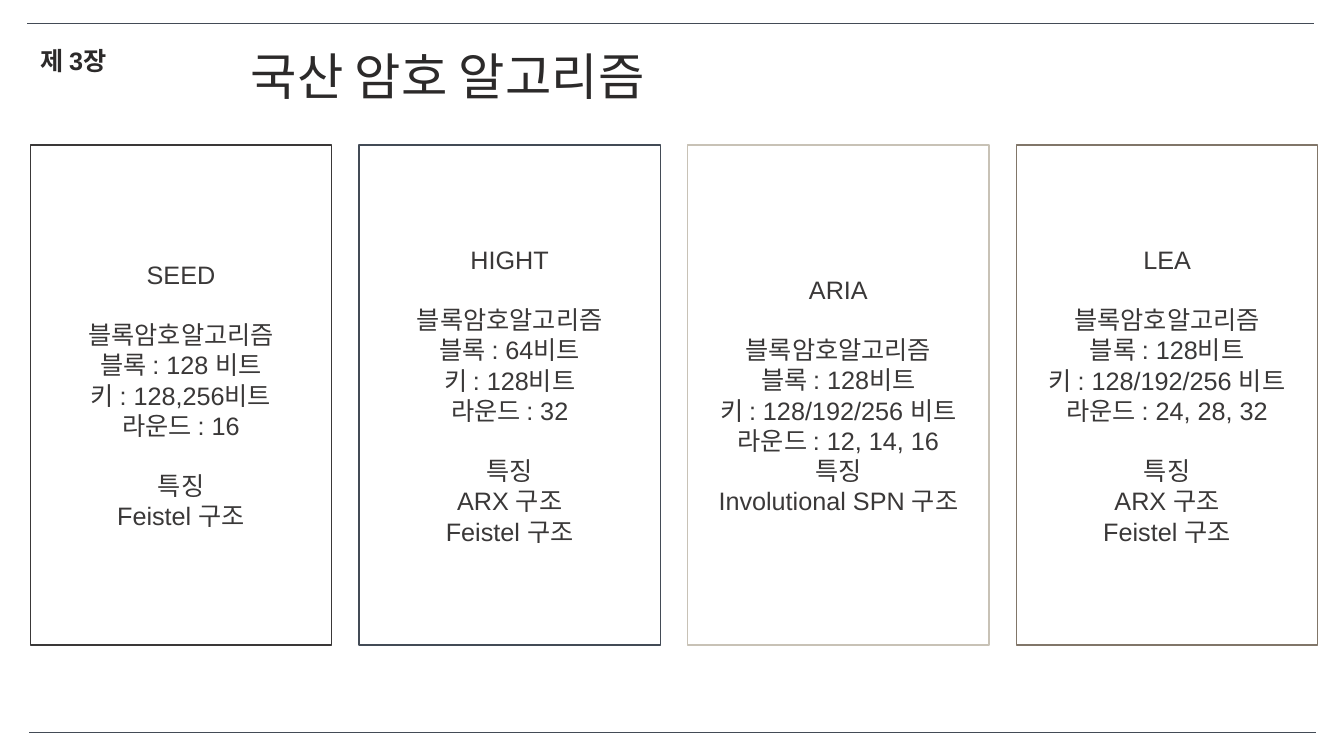
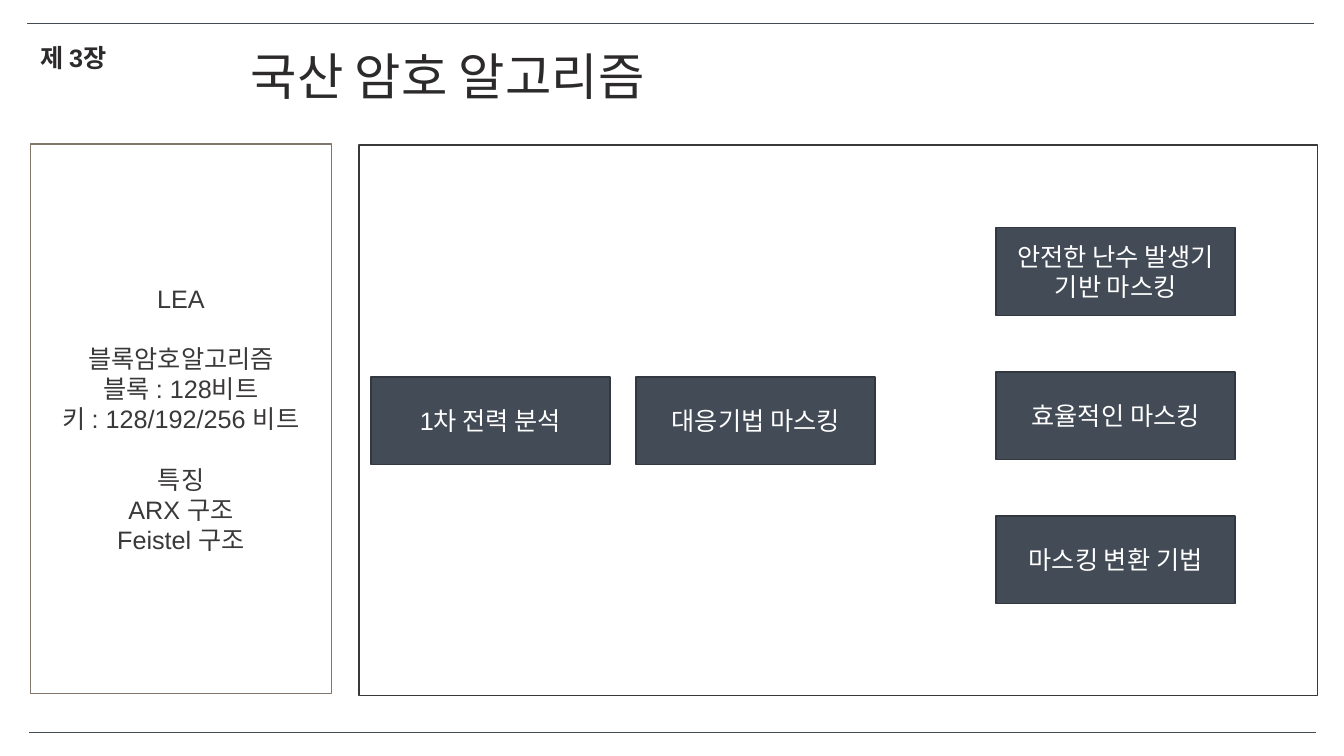
from pptx import Presentation
from pptx.dml.color import RGBColor
from pptx.enum.shapes import MSO_CONNECTOR, MSO_SHAPE
from pptx.enum.text import MSO_ANCHOR, PP_ALIGN
from pptx.oxml.ns import qn
from pptx.util import Inches, Pt
from lxml.etree import SubElement

COLORS = {"title": "2C2A2A", "text": "3A3838", "slate": "434B56", "edge": "323740",
          "sand": "C8C2B6", "brown": "817669", "white": "FFFFFF"}
FONT = "Arial"
CHAPTER, TITLE = "제 3장", "국산 암호 알고리즘"
RULES = [(0.27, 0.23), (0.29, 7.27)]
RULE_W = 12.76

# Each card: border colour, then groups of lines set apart by one line of space
CIPHERS = [
    ("text", [["SEED"],
              ["블록암호알고리즘", "블록 : 128 비트", "키 : 128,256비트", "라운드 : 16"],
              ["특징", "Feistel 구조"]]),
    ("slate", [["HIGHT"],
               ["블록암호알고리즘", "블록 : 64비트", "키 : 128비트", "라운드 : 32"],
               ["특징", "ARX 구조", "Feistel 구조"]]),
    ("sand", [["ARIA"],
              ["블록암호알고리즘", "블록 : 128비트", "키 : 128/192/256 비트",
               "라운드 : 12, 14, 16", "특징", "Involutional SPN 구조"]]),
    ("brown", [["LEA"],
               ["블록암호알고리즘", "블록 : 128비트", "키 : 128/192/256 비트",
                "라운드 : 24, 28, 32"],
               ["특징", "ARX 구조", "Feistel 구조"]]),
]
LEA_SUMMARY = [["LEA"],
               ["블록암호알고리즘", "블록 : 128비트", "키 : 128/192/256 비트"],
               ["특징", "ARX 구조", "Feistel 구조"]]
ATTACK_STEPS = ["1차 전력 분석", "대응기법 마스킹"]
MASKINGS = [["안전한 난수 발생기", "기반 마스킹"], ["효율적인 마스킹"], ["마스킹 변환 기법"]]

LEFT, TOP = 0.3, 1.44
CARD_W, CARD_H, CARD_STEP = 2.99, 4.96, 3.26
PANEL_W, PANEL_H = 9.51, 5.46
NODE_W, NODE_H = 2.37, 0.87
STEP_X, STEP_Y, STEP_DX = 3.68, 3.74, 2.63
MASK_X, MASK_Y, MASK_DY = 9.88, 2.26, 1.43
GROUP_GAP = 21.5


def rgb(name):
    """Return the named colour."""
    return RGBColor.from_string(COLORS[name])


def style(p, size, color, bold=False):
    """Set the font of a paragraph."""
    p.font.name, p.font.size, p.font.bold = FONT, Pt(size), bold
    p.font.color.rgb = rgb(color)


def add_rule(s, x, y):
    """Draw a thin horizontal rule."""
    line = s.shapes.add_connector(MSO_CONNECTOR.STRAIGHT, Inches(x), Inches(y),
                                  Inches(x + RULE_W), Inches(y))
    line.line.color.rgb = rgb("slate")
    line.line.width = Pt(0.5)
    SubElement(line._element.spPr, qn("a:effectLst"))


def add_label(s, text, x, y, w, h, size, bold=False):
    """Add a one-line heading."""
    tf = s.shapes.add_textbox(Inches(x), Inches(y), Inches(w), Inches(h)).text_frame
    tf.word_wrap = True
    tf.text = text
    style(tf.paragraphs[0], size, "title", bold)


def add_box(s, x, y, w, h, groups=(), fill="white", edge="text", color="text"):
    """Add a rectangle with centred groups of lines."""
    sp = s.shapes.add_shape(MSO_SHAPE.RECTANGLE, Inches(x), Inches(y), Inches(w), Inches(h))
    sp.shadow.inherit = False
    sp.fill.solid()
    sp.fill.fore_color.rgb = rgb(fill)
    sp.line.color.rgb = rgb(edge)
    sp.line.width = Pt(1)
    tf = sp.text_frame
    tf.word_wrap = True
    tf.vertical_anchor = MSO_ANCHOR.MIDDLE
    lines = [(text, g > 0 and i == 0)
             for g, group in enumerate(groups) for i, text in enumerate(group)]
    for n, (text, starts_group) in enumerate(lines):
        p = tf.add_paragraph() if n else tf.paragraphs[0]
        p.text = text
        p.alignment = PP_ALIGN.CENTER
        if starts_group:
            p.space_before = Pt(GROUP_GAP)
        style(p, 18, color)


def add_node(s, x, y, lines):
    """Add a dark box of the masking diagram."""
    add_box(s, x, y, NODE_W, NODE_H, [lines], "slate", "edge", "white")


def new_slide(prs, chapter_y):
    """Add a slide with the shared rules and headings."""
    s = prs.slides.add_slide(prs.slide_layouts[6])
    for x, y in RULES:
        add_rule(s, x, y)
    add_label(s, CHAPTER, LEFT, chapter_y, 1.27, 0.4, 18, bold=True)
    add_label(s, TITLE, 2.39, 0.4, 4.94, 0.71, 36)
    return s


def cipher_slide(prs):
    """Compare the four ciphers in a row of cards."""
    s = new_slide(prs, 0.4)
    for i, (edge, groups) in enumerate(CIPHERS):
        add_box(s, LEFT + i * CARD_STEP, TOP, CARD_W, CARD_H, groups, edge=edge)


def masking_slide(prs):
    """Show LEA beside its masking countermeasures."""
    s = new_slide(prs, 0.37)
    add_box(s, LEFT + CARD_STEP, TOP, PANEL_W, PANEL_H)
    add_box(s, LEFT, 1.43, CARD_W, 5.45, LEA_SUMMARY, edge="brown")
    for i, text in enumerate(ATTACK_STEPS):
        add_node(s, STEP_X + i * STEP_DX, STEP_Y, [text])
    for i, lines in enumerate(MASKINGS):
        add_node(s, MASK_X, MASK_Y + i * MASK_DY, lines)


prs = Presentation()
prs.slide_width, prs.slide_height = Inches(13.33), Inches(7.5)
cipher_slide(prs)
masking_slide(prs)
prs.save("out.pptx")
